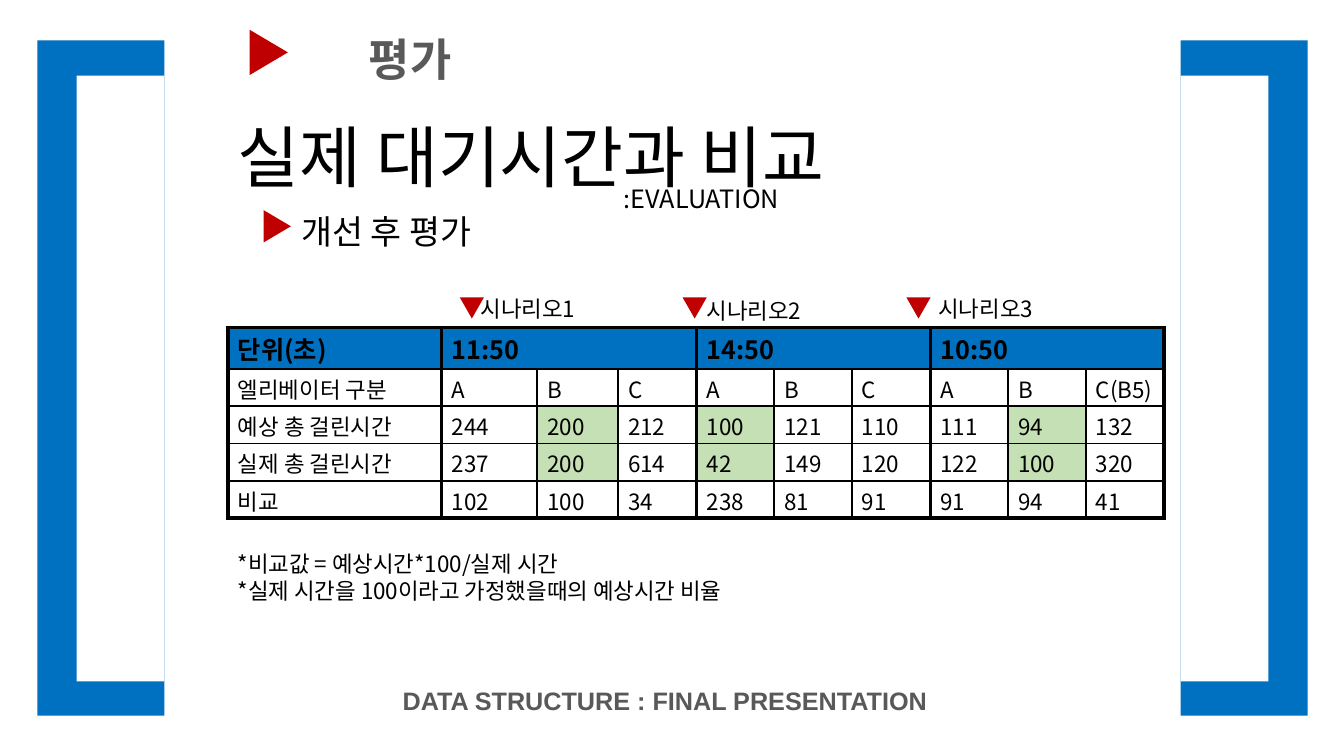
"""Build the evaluation slide comparing expected and actual elevator waiting times."""
from lxml import etree
from pptx import Presentation
from pptx.dml.color import RGBColor
from pptx.enum.shapes import MSO_SHAPE
from pptx.enum.text import PP_ALIGN
from pptx.oxml.ns import qn
from pptx.util import Inches, Pt

RECTANGLE = MSO_SHAPE.RECTANGLE
TRIANGLE = MSO_SHAPE.ISOSCELES_TRIANGLE
LEFT, CENTER, JUSTIFY = PP_ALIGN.LEFT, PP_ALIGN.CENTER, PP_ALIGN.JUSTIFY

COLORS = {
    "blue": "0070C0",
    "red": "C00000",
    "green": "C5E0B4",
    "gray": "595959",
    "black": "000000",
    "white": "FFFFFF",
}
KOREAN = "Noto Sans CJK KR"
COLUMN_WIDTHS = [2.12, 0.95, 0.8, 0.78, 0.77, 0.77, 0.78, 0.77, 0.77, 0.78]
ROW_HEIGHTS = [0.41] + [0.37] * 4
SCENARIO_SPAN = 3
TABLE_ROWS = [
    ["단위(초)", "11:50", "", "", "14:50", "", "", "10:50", "", ""],
    ["엘리베이터 구분", "A", "B", "C", "A", "B", "C", "A", "B", "C(B5)"],
    ["예상 총 걸린시간", "244", "200", "212", "100", "121", "110", "111", "94", "132"],
    ["실제 총 걸린시간", "237", "200", "614", "42", "149", "120", "122", "100", "320"],
    ["비교", "102", "100", "34", "238", "81", "91", "91", "94", "41"],
]
HIGHLIGHT_ROWS = (2, 3)
HIGHLIGHT_COLUMNS = (2, 4, 8)


def color(name):
    """Return the named palette color."""
    return RGBColor.from_string(COLORS[name])


def add_filled_shape(page, kind, box, fill, rotation=0):
    """Add a flat shape without an outline."""
    shape = page.shapes.add_shape(kind, *map(Inches, box))
    shape.shadow.inherit = False
    shape.fill.solid()
    shape.fill.fore_color.rgb = color(fill)
    shape.line.fill.background()
    shape.rotation = rotation


def write_span(para, text, size, fill="black", bold=False, font=KOREAN):
    """Add one run with its Latin and East Asian fonts."""
    span = para.add_run()
    span.text = text
    span.font.size = Pt(size)
    span.font.bold = bold
    span.font.name = font
    span.font.color.rgb = color(fill)
    east_asian = etree.SubElement(span.font._element, qn("a:ea"))
    east_asian.set("typeface", font)


def add_text(page, box, lines, size, fill="black", bold=False, font=KOREAN,
             align=LEFT, wrap=True, leading=1.2):
    """Add a text box with one paragraph per line."""
    frame = page.shapes.add_textbox(*map(Inches, box)).text_frame
    frame.word_wrap = wrap
    if font == KOREAN:
        frame.margin_top = Inches(0.05 + 0.07 * size / 72)
    for index, line in enumerate(lines):
        para = frame.add_paragraph() if index else frame.paragraphs[0]
        para.alignment = align
        if font == KOREAN:
            para.line_spacing = Pt(size * leading)
        write_span(para, line, size, fill, bold, font)


def add_bracket(page, outer_left, inner_left):
    """Draw one side bracket as a blue panel with a white cutout."""
    add_filled_shape(page, RECTANGLE, (outer_left, 0.4, 1.26, 6.7), "blue")
    add_filled_shape(page, RECTANGLE, (inner_left, 0.75, 0.87, 6.01), "white")


def set_borders(cell, widths):
    """Draw the four black borders of a cell."""
    properties = cell._tc.get_or_add_tcPr()
    for side, width in zip("LRTB", widths):
        line = etree.SubElement(properties, qn(f"a:ln{side}"), w=str(Pt(width)))
        paint = etree.SubElement(line, qn("a:solidFill"))
        etree.SubElement(paint, qn("a:srgbClr"), val=COLORS["black"])


def column_edge(index):
    """Return the width of the vertical line before a column."""
    if index in (0, len(COLUMN_WIDTHS)):
        return 3
    return 2.25 if index % SCENARIO_SPAN == 1 else 1.5


def row_edge(index):
    """Return the width of the horizontal line above a row."""
    return 3 if index in (0, len(ROW_HEIGHTS)) else 1.5


def cell_fill(row, column):
    """Return the fill name for a table position."""
    if row == 0:
        return "blue"
    highlighted = row in HIGHLIGHT_ROWS and column in HIGHLIGHT_COLUMNS
    return "green" if highlighted else "white"


def format_cell(cell, row, column, text):
    """Fill, border and write one table cell."""
    end = column + (cell.span_width if cell.is_merge_origin else 1)
    set_borders(cell, (column_edge(column), column_edge(end),
                       row_edge(row), row_edge(row + 1)))
    cell.fill.solid()
    cell.fill.fore_color.rgb = color(cell_fill(row, column))
    cell.margin_top, cell.margin_bottom = Inches(0.09), Inches(0.01)
    if text:
        size = 16 if row else 18
        para = cell.text_frame.paragraphs[0]
        para.alignment = JUSTIFY
        para.line_spacing = Pt(size * 1.2)
        write_span(para, text, size, bold=row == 0)


def add_time_table(page):
    """Add the table of elevator times for the three scenarios."""
    frame = page.shapes.add_table(len(ROW_HEIGHTS), len(COLUMN_WIDTHS), Inches(2.26),
                                  Inches(3.25), Inches(9.29), Inches(1.89))
    table = frame.table
    for column, width in zip(table.columns, COLUMN_WIDTHS):
        column.width = Inches(width)
    for row, height in zip(table.rows, ROW_HEIGHTS):
        row.height = Inches(height)
    for start in range(1, len(COLUMN_WIDTHS), SCENARIO_SPAN):
        table.cell(0, start).merge(table.cell(0, start + SCENARIO_SPAN - 1))
    for row, texts in enumerate(TABLE_ROWS):
        for column, text in enumerate(texts):
            format_cell(table.cell(row, column), row, column, text)


def add_scenario(page, label, marker_left, text_left, text_top):
    """Add a scenario label with its downward marker."""
    add_filled_shape(page, TRIANGLE, (marker_left, 2.95, 0.24, 0.21), "red", 180)
    add_text(page, (text_left, text_top, 1.97, 0.37), [label], 16)


def main():
    """Build and save the deck."""
    deck = Presentation()
    deck.slide_width, deck.slide_height = Inches(13.33), Inches(7.5)
    page = deck.slides.add_slide(deck.slide_layouts[6])

    add_bracket(page, 0.37, 0.76)
    add_bracket(page, 11.71, 11.71)
    add_text(page, (2.38, 6.75, 8.43, 0.4), ["DATA STRUCTURE : FINAL PRESENTATION"],
             18, "gray", True, "Arial", CENTER)
    add_filled_shape(page, TRIANGLE, (2.44, 0.33, 0.45, 0.38), "red", 90)
    add_time_table(page)
    add_text(page, (2.26, 1.05, 7.33, 0.91), ["실제 대기시간과 비교"], 48)
    add_scenario(page, "시나리오1", 4.56, 4.67, 2.86)
    add_scenario(page, "시나리오2", 6.77, 6.91, 2.88)
    add_scenario(page, "시나리오3", 8.99, 9.21, 2.86)
    add_text(page, (2.26, 5.39, 6.05, 0.71),
             ["*비교값 = 예상시간*100/실제 시간",
              "*실제 시간을 100이라고 가정했을때의 예상시간 비율"], 16, wrap=False)
    add_text(page, (6.09, 1.75, 2.92, 0.41), [":EVALUATION"], 18)
    add_text(page, (3.56, 0.29, 7.36, 0.68), ["평가"], 32, "gray", True, leading=1.08)
    add_text(page, (2.89, 2.02, 5.79, 0.5), ["개선 후 평가"], 24)
    add_filled_shape(page, TRIANGLE, (2.59, 2.11, 0.32, 0.27), "red", 90)
    deck.save("out.pptx")


if __name__ == "__main__":
    main()
